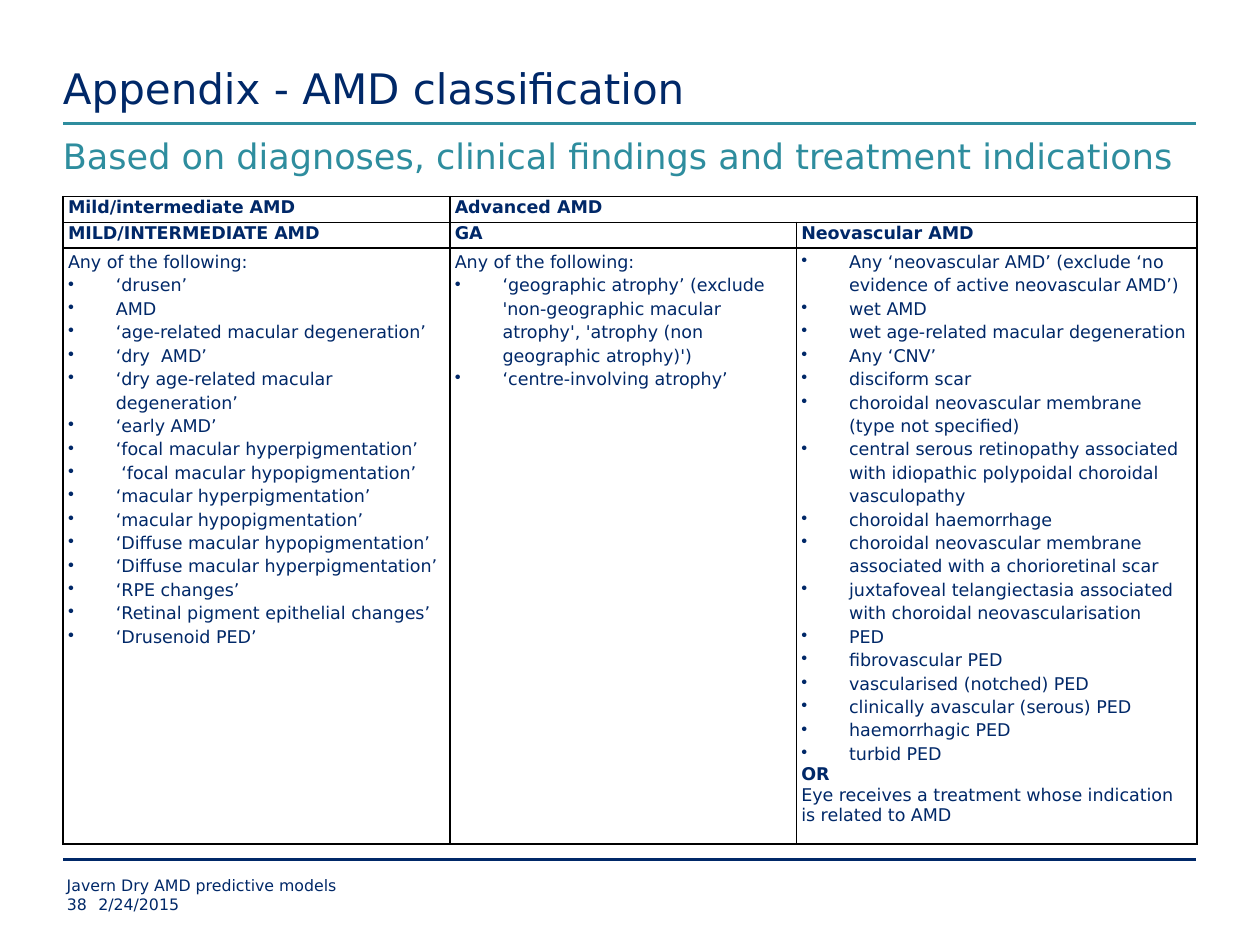
from pptx import Presentation
from pptx.dml.color import RGBColor
from pptx.enum.shapes import MSO_CONNECTOR
from pptx.enum.text import MSO_ANCHOR
from pptx.oxml.ns import qn
from pptx.util import Inches, Pt
from lxml.etree import SubElement, Element

NAVY, TEAL, BLACK = "002868", "2E8D9E", "000000"
COLS, ROWS = 100, 75

MILD = [
    "‘drusen’", "AMD", "‘age-related macular degeneration’", "‘dry  AMD’",
    "‘dry age-related macular degeneration’", "‘early AMD’",
    "‘focal macular hyperpigmentation’", " ‘focal macular hypopigmentation’",
    "‘macular hyperpigmentation’", "‘macular hypopigmentation’",
    "‘Diffuse macular hypopigmentation’", "‘Diffuse macular hyperpigmentation’",
    "‘RPE changes’", "‘Retinal pigment epithelial changes’", "‘Drusenoid PED’",
]
ATROPHY = [
    "‘geographic atrophy’ (exclude 'non-geographic macular atrophy', "
    "'atrophy (non geographic atrophy)')",
    "‘centre-involving atrophy’",
]
WET = [
    "Any ‘neovascular AMD’ (exclude ‘no evidence of active neovascular AMD’)",
    "wet AMD", "wet age-related macular degeneration", "Any ‘CNV’", "disciform scar",
    "choroidal neovascular membrane (type not specified)",
    "central serous retinopathy associated with idiopathic polypoidal choroidal vasculopathy",
    "choroidal haemorrhage",
    "choroidal neovascular membrane associated with a chorioretinal scar",
    "juxtafoveal telangiectasia associated with choroidal neovascularisation",
    "PED", "fibrovascular PED", "vascularised (notched) PED",
    "clinically avascular (serous) PED", "haemorrhagic PED", "turbid PED",
]


def color(code):
    return RGBColor.from_string(code)


class Page:
    font = "DejaVu Sans"

    def __init__(self, deck):
        self.wide = deck.slide_width
        self.high = deck.slide_height
        self.slide = deck.slides.add_slide(deck.slide_layouts[6])

    def col(self, count):
        return round(self.wide * count / COLS)

    def row(self, count):
        return round(self.high * count / ROWS)

    def ink(self, para, size, tint=NAVY, bold=False):
        for run in para.runs:
            run.font.name = self.font
            run.font.size = Pt(size)
            run.font.bold = bold
            run.font.color.rgb = color(tint)

    def text(self, words, left, top, wide, high, size, tint=NAVY, anchor=MSO_ANCHOR.TOP):
        box = self.slide.shapes.add_textbox(
            self.col(left), self.row(top), self.col(wide), self.row(high))
        frame = box.text_frame
        frame.word_wrap = True
        frame.vertical_anchor = anchor
        frame.margin_left = frame.margin_right = 0
        frame.margin_top = frame.margin_bottom = 0
        frame.text = words
        self.ink(frame.paragraphs[0], size, tint)

    def rule(self, left, right, top, tint, width):
        line = self.slide.shapes.add_connector(
            MSO_CONNECTOR.STRAIGHT,
            self.col(left), self.row(top), self.col(right), self.row(top))
        line.line.color.rgb = color(tint)
        line.line.width = Pt(width)
        SubElement(line._element.spPr, qn("a:effectLst"))

    def table(self, left, top, wides, highs):
        frame = self.slide.shapes.add_table(
            len(highs), len(wides), self.col(left), self.row(top),
            self.col(sum(wides)), self.row(sum(highs)))
        grid = frame.table
        grid.first_row = grid.horz_banding = False
        for part, wide in zip(grid.columns, wides):
            part.width = self.col(wide)
        for part, high in zip(grid.rows, highs):
            part.height = self.row(high)
        for cell in grid.iter_cells():
            cell.margin_left = cell.margin_right = self.col(0.4)
            cell.margin_top, cell.margin_bottom = self.row(0.1), 0
            cell.fill.background()
            self.border(cell)
        return grid

    def border(self, cell):
        props = cell._tc.get_or_add_tcPr()
        for spot, side in enumerate("LRTB"):
            edge = Element(qn("a:ln" + side), w=str(Pt(1)))
            fill = SubElement(edge, qn("a:solidFill"))
            SubElement(fill, qn("a:srgbClr"), val=BLACK)
            props.insert(spot, edge)

    def bullet(self, para):
        props = para._p.get_or_add_pPr()
        props.set("marL", str(self.col(3.8)))
        props.set("indent", str(-self.col(3.8)))
        SubElement(props, qn("a:buChar"), char="•")
        tabs = SubElement(props, qn("a:tabLst"))
        SubElement(tabs, qn("a:tab"), pos=str(self.col(5)), algn="l")

    def fill(self, cell, items):
        frame = cell.text_frame
        for spot, (kind, words) in enumerate(items):
            para = frame.add_paragraph() if spot else frame.paragraphs[0]
            para.text = words
            if kind == "item":
                self.bullet(para)
            if kind in ("item", "lead"):
                para.line_spacing = 1.15
            self.ink(para, 10, bold=kind == "head")


def main():
    deck = Presentation()
    deck.slide_width, deck.slide_height = Inches(10), Inches(7.5)
    page = Page(deck)

    page.rule(5, 94.9, 9.8, TEAL, 1.5)
    page.rule(5, 94.9, 68.2, NAVY, 2)
    page.text("Appendix - AMD classification", 5, 0, 90, 9, 24, anchor=MSO_ANCHOR.BOTTOM)
    page.text("Based on diagnoses, clinical findings and treatment indications",
              5, 10.7, 90, 4.9, 20, TEAL)

    grid = page.table(5, 15.6, [30.7, 27.5, 31.8], [2.05, 2.05, 46.5])
    grid.cell(0, 1).merge(grid.cell(0, 2))
    heads = [
        ["Mild/intermediate AMD", "Advanced AMD"],
        ["MILD/INTERMEDIATE AMD", "GA", "Neovascular AMD"],
    ]
    for y, names in enumerate(heads):
        for x, name in enumerate(names):
            page.fill(grid.cell(y, x), [("head", name)])

    lead = [("lead", "Any of the following:")]
    tail = [("head", "OR"),
            ("body", "Eye receives a treatment whose indication is related to AMD")]
    lists = [[("item", words) for words in group] for group in (MILD, ATROPHY, WET)]
    bodies = [lead + lists[0], lead + lists[1], lists[2] + tail]
    for x, items in enumerate(bodies):
        page.fill(grid.cell(2, x), items)

    page.text("Javern Dry AMD predictive models", 5.3, 69.5, 75, 1.5, 9)
    page.text("38", 5.3, 71, 2.5, 1.5, 9)
    page.text("2/24/2015", 7.8, 71, 72.5, 1.5, 9)
    deck.save("out.pptx")


if __name__ == "__main__":
    main()
